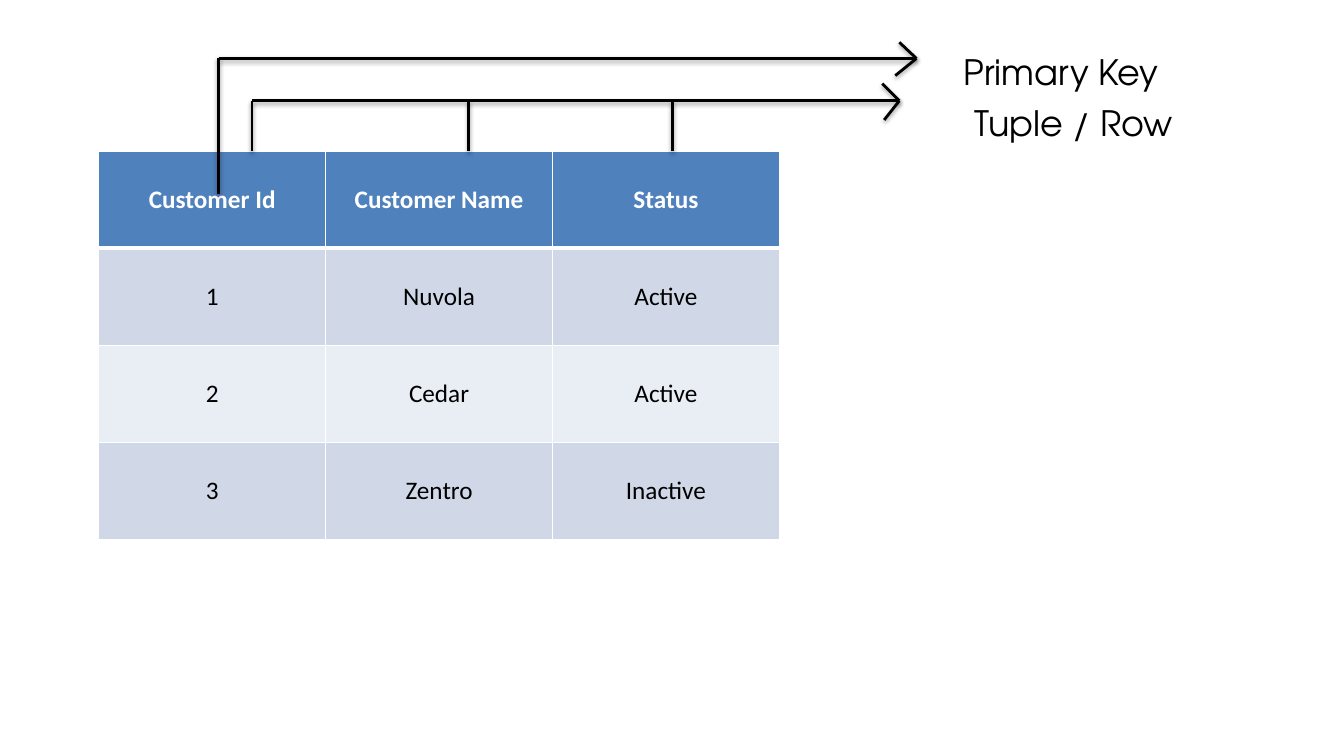
from lxml import etree
from pptx import Presentation
from pptx.dml.color import RGBColor
from pptx.enum.shapes import MSO_CONNECTOR as Connector
from pptx.enum.text import MSO_ANCHOR as Anchor, MSO_AUTO_SIZE as AutoSize, PP_ALIGN as Align
from pptx.oxml import parse_xml
from pptx.oxml.ns import nsdecls, qn
from pptx.util import Inches, Pt

WHITE = RGBColor(0xFF, 0xFF, 0xFF)
BLACK = RGBColor(0x00, 0x00, 0x00)
HEADER_BLUE = RGBColor(0x4F, 0x81, 0xBD)
BAND_DARK = RGBColor(0xD0, 0xD8, 0xE8)
BAND_LIGHT = RGBColor(0xE9, 0xED, 0xF4)

TABLE_BOX = (0.98, 1.5, 6.75, 3.85)
CUSTOMERS = [
    ("Customer Id", "Customer Name", "Status"),
    ("1", "Nuvola", "Active"),
    ("2", "Cedar", "Active"),
    ("3", "Zentro", "Inactive"),
]

# Each arrow: bar height, tip, stem positions, stem foot, barb offsets from the tip
ARROWS = [
    (0.58, 9.09, [2.17], 1.92, [(-0.17, -0.16), (-0.21, 0.17)]),
    (1.0, 8.92, [2.5, 4.65, 6.67], 1.5, [(-0.17, -0.17), (-0.15, 0.19)]),
]
LABELS = [
    ("Primary Key", (9.46, 0.45, 2.55, 0.52)),
    ("Tuple / Row", (9.57, 0.96, 2.32, 0.52)),
]

SHADOW = (
    f'<a:effectLst {nsdecls("a")}>'
    '<a:outerShdw blurRad="40000" dist="20000" dir="5400000" rotWithShape="0">'
    '<a:srgbClr val="000000"><a:alpha val="38000"/></a:srgbClr>'
    '</a:outerShdw></a:effectLst>'
)


def style_font(span, **values):
    color = values.pop("color")
    for name, value in values.items():
        setattr(span.font, name, value)
    span.font.color.rgb = color


def add_borders(cell, widths):
    properties = cell._tc.get_or_add_tcPr()
    for side, width in widths.items():
        line = etree.SubElement(properties, qn(f"a:ln{side}"), w=str(Pt(width)))
        fill = etree.SubElement(line, qn("a:solidFill"))
        etree.SubElement(fill, qn("a:srgbClr"), val=str(WHITE))


def add_customer_table(page, box):
    left, top, width, height = map(Inches, box)
    row_count, column_count = len(CUSTOMERS), len(CUSTOMERS[0])
    table = page.shapes.add_table(row_count, column_count, left, top, width, height).table
    for row, texts in enumerate(CUSTOMERS):
        is_header = row == 0
        for column, text in enumerate(texts):
            cell = table.cell(row, column)
            # Heavy rule between the header and the first record
            add_borders(cell, {"L": 1, "R": 1, "T": 3 if row == 1 else 1,
                               "B": 3 if is_header else 1})
            cell.fill.solid()
            cell.fill.fore_color.rgb = (
                HEADER_BLUE if is_header else BAND_DARK if row % 2 else BAND_LIGHT)
            cell.vertical_anchor = Anchor.MIDDLE
            para = cell.text_frame.paragraphs[0]
            para.alignment = Align.CENTER
            span = para.add_run()
            span.text = text
            style_font(span, name="Calibri", size=Pt(18), bold=is_header,
                       color=WHITE if is_header else BLACK)


def add_line(page, start, end):
    line = page.shapes.add_connector(Connector.STRAIGHT, *map(Inches, (*start, *end)))
    line.line.color.rgb = BLACK
    line.line.width = Pt(2)
    line._element.spPr.append(parse_xml(SHADOW))


def add_bracket_arrow(page, bar, tip, stems, foot, barbs):
    for stem in stems:
        add_line(page, (stem, foot), (stem, bar))
    add_line(page, (stems[0], bar), (tip, bar))
    for across, down in barbs:
        add_line(page, (tip + across, bar + down), (tip, bar))


def add_label(page, text, box):
    frame = page.shapes.add_textbox(*map(Inches, box)).text_frame
    frame.word_wrap = True
    frame.auto_size = AutoSize.SHAPE_TO_FIT_TEXT
    span = frame.paragraphs[0].add_run()
    span.text = text
    style_font(span, name="TeX Gyre Adventor", size=Pt(25), color=BLACK)


def main():
    deck = Presentation()
    deck.slide_width, deck.slide_height = Inches(13.33), Inches(7.5)
    page = deck.slides.add_slide(deck.slide_layouts[6])
    add_customer_table(page, TABLE_BOX)
    for arrow in ARROWS:
        add_bracket_arrow(page, *arrow)
    for text, box in LABELS:
        add_label(page, text, box)
    deck.save("out.pptx")


if __name__ == "__main__":
    main()
